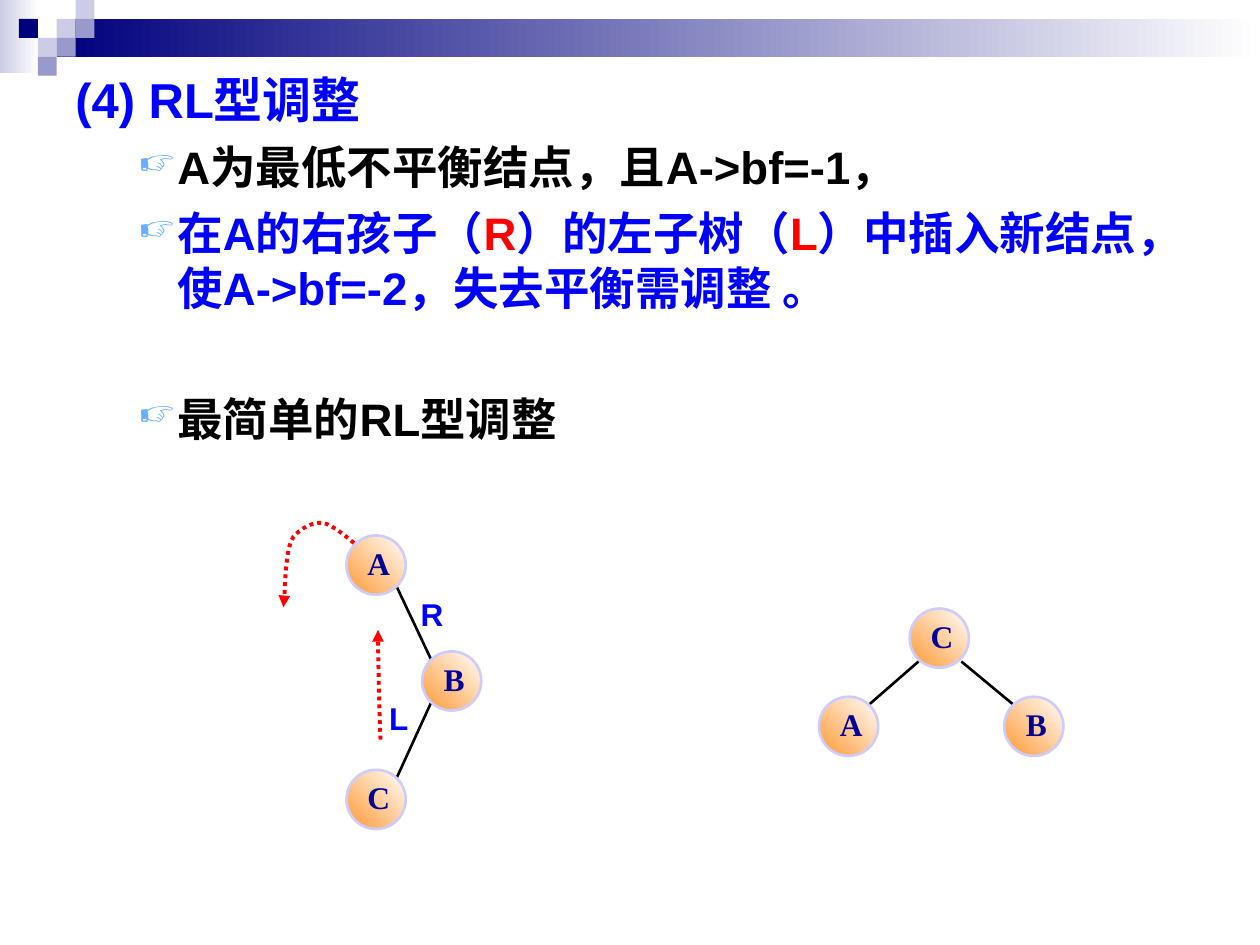
from typing import NamedTuple

from lxml import etree
from pptx import Presentation
from pptx.dml.color import RGBColor
from pptx.enum.dml import MSO_LINE
from pptx.enum.shapes import MSO_CONNECTOR, MSO_SHAPE
from pptx.enum.text import MSO_ANCHOR, PP_ALIGN
from pptx.oxml.ns import qn
from pptx.util import Pt

PX = 9144
RECT, OVAL = MSO_SHAPE.RECTANGLE, MSO_SHAPE.OVAL
LINE, DOT = MSO_CONNECTOR.STRAIGHT, MSO_LINE.ROUND_DOT
MIDDLE, CENTER = MSO_ANCHOR.MIDDLE, PP_ALIGN.CENTER

BLACK = RGBColor(0x00, 0x00, 0x00)
WHITE = RGBColor(0xFF, 0xFF, 0xFF)
RED = RGBColor(0xFF, 0x00, 0x00)
BLUE = RGBColor(0x00, 0x00, 0xFF)
NAVY = RGBColor(0x00, 0x00, 0x7D)
INK = RGBColor(0x00, 0x00, 0x99)
PALE = RGBColor(0xCC, 0xCC, 0xE6)
MID = RGBColor(0x99, 0x99, 0xCC)
RIM = RGBColor(0xCC, 0xCC, 0xFF)
ORANGE = RGBColor(0xFF, 0x99, 0x33)

CELL, NODE = 15, 47


class Tile(NamedTuple):
    col: int
    row: int
    color: RGBColor


class Node(NamedTuple):
    name: str
    x: int
    y: int


class Edge(NamedTuple):
    x1: int
    y1: int
    x2: int
    y2: int


class Label(NamedTuple):
    text: str
    x: int
    y: int
    w: int


class Item(NamedTuple):
    spans: tuple
    size: int
    gap: float
    mark: bool = True


TILES = [
    Tile(3, 1, PALE), Tile(4, 0, PALE), Tile(4, 1, MID), Tile(2, 2, PALE),
    Tile(1, 1, NAVY), Tile(3, 2, MID), Tile(2, 3, MID),
]
ITEMS = [
    Item((("(4) RL型调整", BLUE),), 28, 0, False),
    Item((("A为最低不平衡结点，且A->bf=-1，", BLACK),), 26, 6.5),
    Item((
        ("在A的右孩子（", BLUE), ("R", RED), ("）的左子树（", BLUE), ("L", RED),
        ("）中插入新结点，使A->bf=-2，失去平衡需调整 。", BLUE),
    ), 26, 6.5),
    Item((("最简单的RL型调整", BLACK),), 26, 43.5),
]
EDGES = [
    Edge(763, 525, 804, 559), Edge(690, 559, 729, 525),
    Edge(342, 523, 315, 466), Edge(315, 617, 342, 558),
]
NODES = [
    Node("B", 797, 553), Node("C", 722, 483), Node("A", 650, 553),
    Node("A", 275, 425), Node("B", 335, 517), Node("C", 275, 611),
]
LABELS = [Label("L", 299, 550, 35), Label("R", 324, 467, 38)]
TURN = [
    (281, 431), (277, 428), (264, 416), (256, 415), (248, 414), (238, 420),
    (233, 426), (229, 432), (228, 442), (227, 452), (226, 461), (226, 476),
    (225, 482),
]
RISE = [(302, 587), (301, 569), (300, 514), (300, 500)]


def blend(shape, first: RGBColor, last: RGBColor, angle: int) -> None:
    shape.fill.gradient()
    shape.fill.gradient_angle = angle
    for stop, color, place in zip(shape.fill.gradient_stops, (first, last), (0, 1)):
        stop.color.rgb = color
        stop.position = place


def add_block(shapes, kind, x: int, y: int, w: int, h: int):
    shape = shapes.add_shape(kind, x * PX, y * PX, w * PX, h * PX)
    shape.shadow.inherit = False
    shape.line.fill.background()
    return shape


def add_band(shapes, x: int, y: int, w: int, h: int, color: RGBColor) -> None:
    blend(add_block(shapes, RECT, x, y, w, h), color, WHITE, 0)


def add_tile(shapes, tile: Tile) -> None:
    shape = add_block(shapes, RECT, tile.col * CELL, tile.row * CELL, CELL, CELL)
    shape.fill.solid()
    shape.fill.fore_color.rgb = tile.color


def style(font, name: str, size: int, color: RGBColor) -> None:
    font.name, font.size, font.bold = name, Pt(size), True
    font.color.rgb = color


def add_mark(para) -> None:
    props = para._p.get_or_add_pPr()
    props.set("marL", str(81 * PX))
    props.set("indent", str(-31 * PX))
    tint = etree.SubElement(props, qn("a:buClr"))
    etree.SubElement(tint, qn("a:srgbClr"), val="67AFFF")
    etree.SubElement(props, qn("a:buSzPct"), val="80000")
    etree.SubElement(props, qn("a:buChar"), char="☞")


def add_body(shapes, items: list[Item]) -> None:
    frame = shapes.add_textbox(50 * PX, 50 * PX, 900 * PX, 700 * PX).text_frame
    frame.word_wrap = True
    for i, item in enumerate(items):
        para = frame.add_paragraph() if i else frame.paragraphs[0]
        if item.mark:
            para.level = 1
            add_mark(para)
        para.space_before = Pt(item.gap)
        for text, color in item.spans:
            run = para.add_run()
            run.text = text
            style(run.font, "Arial", item.size, color)


def add_edge(shapes, edge: Edge) -> None:
    line = shapes.add_connector(LINE, *(n * PX for n in edge))
    line.line.color.rgb = BLACK
    line.line.width = Pt(1.5)
    etree.SubElement(line._element.spPr, qn("a:effectLst"))


def add_node(shapes, node: Node) -> None:
    shape = add_block(shapes, OVAL, node.x, node.y, NODE, NODE)
    blend(shape, ORANGE, WHITE, 45)
    shape.line.color.rgb = RIM
    shape.line.width = Pt(1.5)
    frame = shape.text_frame
    frame.margin_left, frame.margin_top = 14 * PX, PX
    frame.margin_right, frame.margin_bottom = 10 * PX, 5 * PX
    frame.vertical_anchor = MIDDLE
    frame.word_wrap = False
    frame.text = node.name
    para = frame.paragraphs[0]
    para.alignment = CENTER
    style(para.runs[0].font, "Times New Roman", 18, INK)


def add_label(shapes, label: Label) -> None:
    box = shapes.add_textbox(label.x * PX, label.y * PX, label.w * PX, 40 * PX)
    box.text_frame.word_wrap = False
    box.text_frame.text = label.text
    style(box.text_frame.paragraphs[0].runs[0].font, "Arial", 18, BLUE)


def bend(knots: list[tuple[int, int]], steps: int = 8) -> list[tuple[int, int]]:
    dots = []
    for i in range(0, len(knots) - 1, 3):
        for k in range(1, steps + 1):
            t = k / steps
            u = 1 - t
            mix = (u**3, 3 * u * u * t, 3 * u * t * t, t**3)
            dots.append(tuple(
                round(PX * sum(m * p[axis] for m, p in zip(mix, knots[i:i + 4])))
                for axis in (0, 1)
            ))
    return dots


def add_arrow(shapes, knots: list[tuple[int, int]]) -> None:
    x, y = knots[0]
    pen = shapes.build_freeform(x * PX, y * PX)
    pen.add_line_segments(bend(knots), close=False)
    shape = pen.convert_to_shape()
    shape.shadow.inherit = False
    shape.fill.background()
    shape.line.color.rgb = RED
    shape.line.width = Pt(2.25)
    shape.line.dash_style = DOT
    line = shape._element.spPr.find(qn("a:ln"))
    etree.SubElement(line, qn("a:tailEnd"), type="triangle")


def main() -> None:
    deck = Presentation()
    deck.slide_width, deck.slide_height = 1000 * PX, 750 * PX
    shapes = deck.slides.add_slide(deck.slide_layouts[6]).shapes
    add_band(shapes, 0, 0, 31, 58, PALE)
    add_band(shapes, 45, 15, 955, 30, NAVY)
    for draw, group in (
        (add_tile, TILES), (add_edge, EDGES), (add_node, NODES),
        (add_label, LABELS), (add_arrow, [TURN, RISE]),
    ):
        for entry in group:
            draw(shapes, entry)
    add_body(shapes, ITEMS)
    deck.save("out.pptx")


if __name__ == "__main__":
    main()
